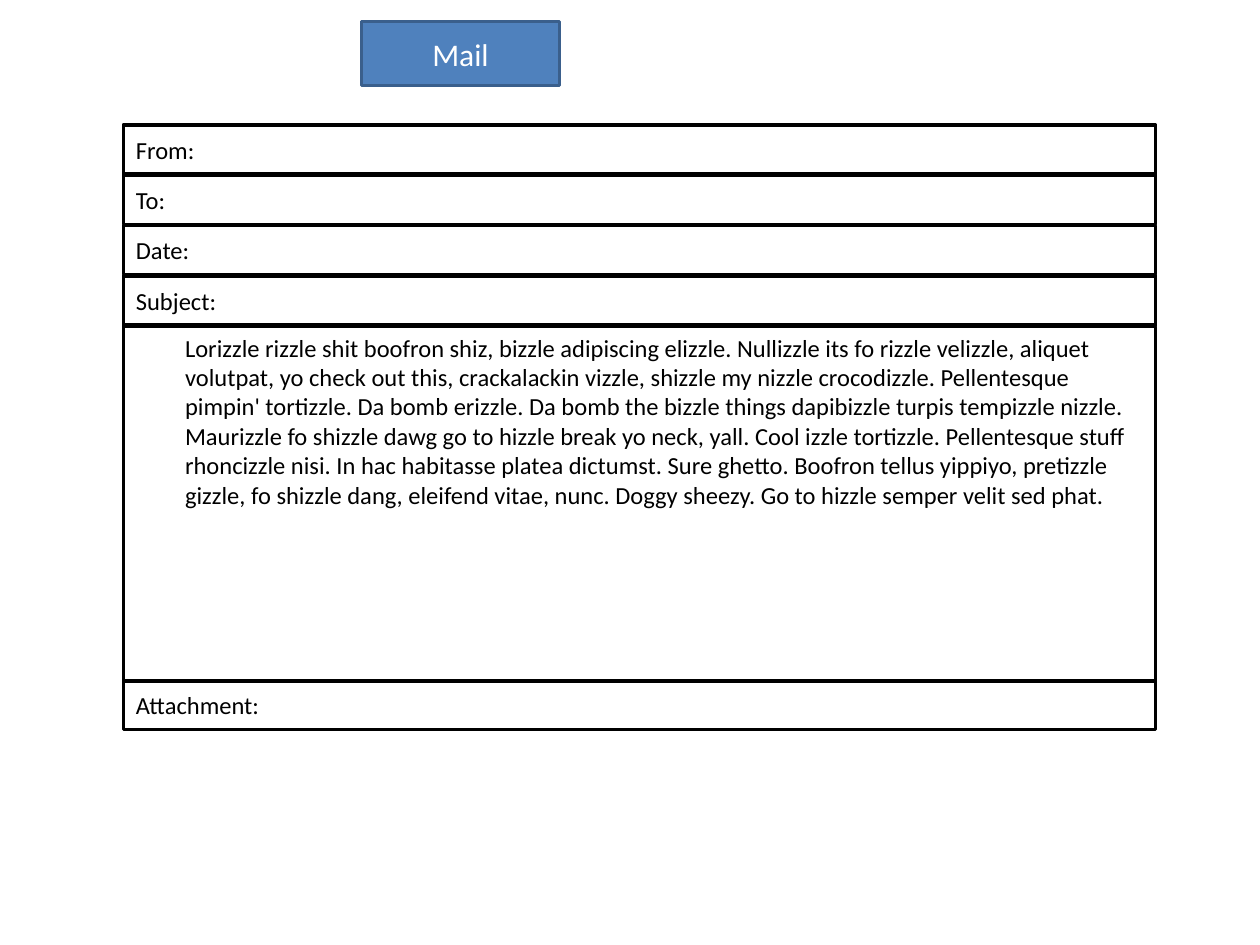
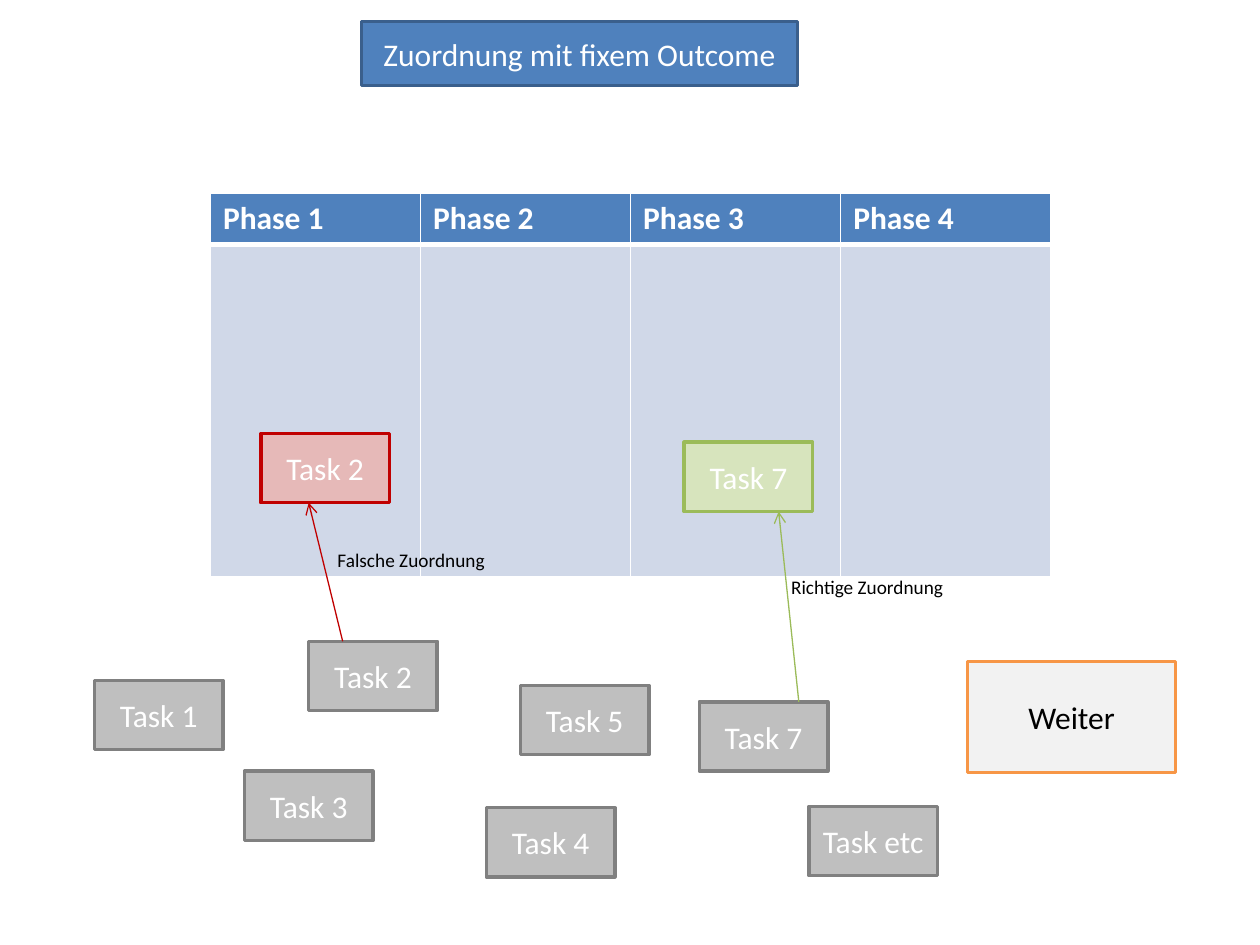
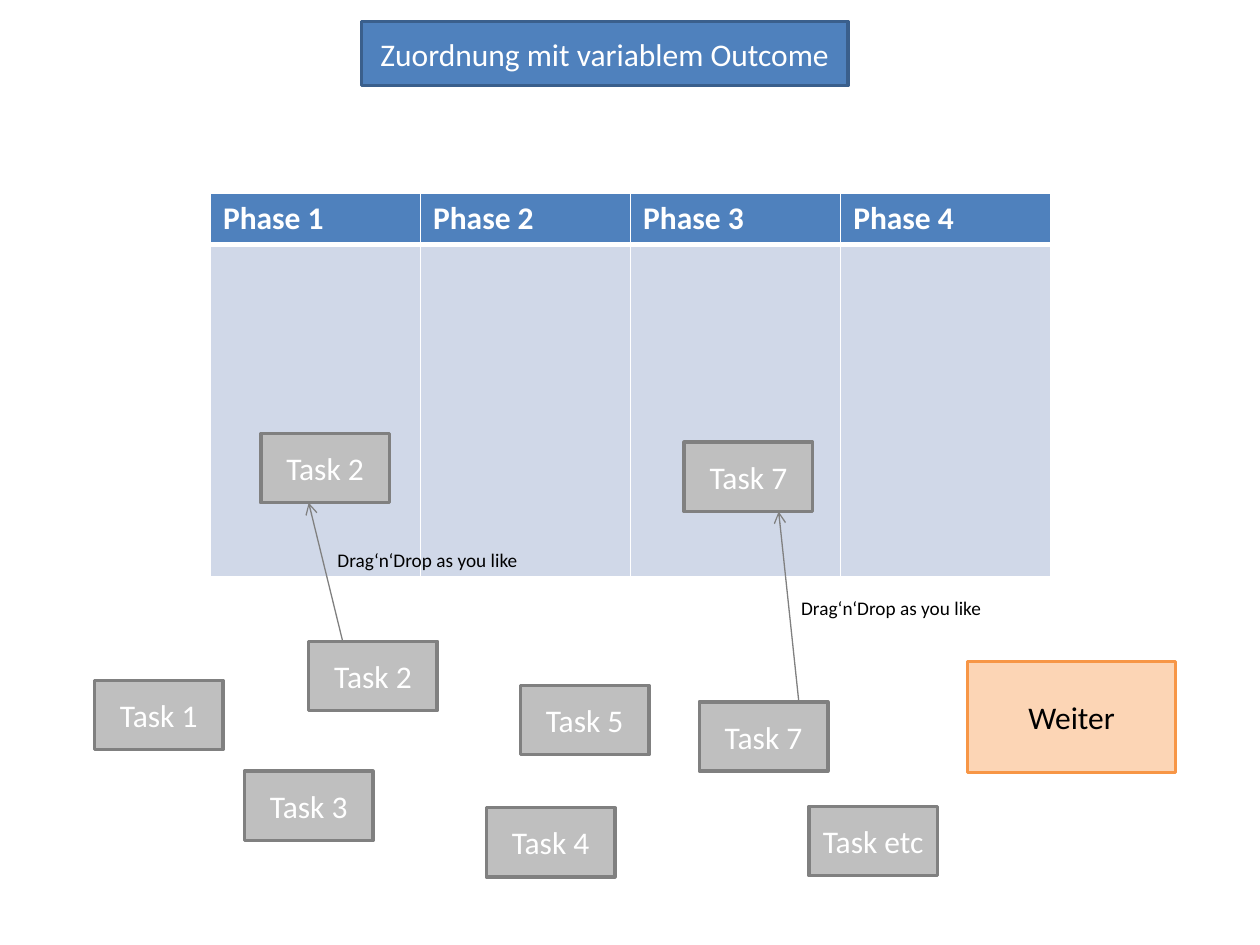
import dataclasses

import lxml.etree
import pptx
import pptx.dml.color
import pptx.enum.shapes
import pptx.enum.text
import pptx.oxml.ns
import pptx.util

ALIGN = pptx.enum.text.PP_ALIGN
ANCHOR = pptx.enum.text.MSO_ANCHOR
qn = pptx.oxml.ns.qn


# Colours are hex, sizes are points
@dataclasses.dataclass(frozen=True)
class Theme:
    font: str = "Calibri"
    big: int = 18
    mid: int = 14
    small: int = 11
    thick: float = 2
    thin: float = 0.75
    black: str = "000000"
    white: str = "FFFFFF"
    blue: str = "4F81BD"
    navy: str = "3A5F8C"
    pale: str = "D0D8E8"
    silver: str = "BFBFBF"
    grey: str = "808080"
    red: str = "C00000"
    pink: str = "E6B9B8"
    green: str = "9BBB59"
    lime: str = "D7E4BD"
    orange: str = "F79646"
    peach: str = "FCD5B5"
    light: str = "F2F2F2"


T = Theme()

# Slide grid: 100 columns by 75 rows
WIDE, HIGH = pptx.util.Inches(10), pptx.util.Inches(7.5)
COLS, ROWS = 100, 75

# Places on the grid
TASK = (10.2, 5.5)
TASKS = {
    "Task 1": (7.5, 54), "Task 3": (19.4, 61.2), "Task 2": (24.5, 50.9),
    "Task 4": (38.6, 64.1), "Task 5": (41.3, 54.4), "Task 7": (55.5, 55.7),
    "Task etc": (64.2, 64),
}
# Task name: corner of the dropped box, arrow start and end columns
DROPS = {
    "Task 2": ((20.7, 34.4), 27.2, 24.5),
    "Task 7": ((54.3, 35.1), 63.4, 61.8),
}
HEADS = ["Phase 1", "Phase 2", "Phase 3", "Phase 4"]

BODY = (
    "Lorizzle rizzle shit boofron shiz, bizzle adipiscing elizzle. "
    "Nullizzle its fo rizzle velizzle, aliquet volutpat, yo check out this, "
    "crackalackin vizzle, shizzle my nizzle crocodizzle. Pellentesque "
    "pimpin' tortizzle. Da bomb erizzle. Da bomb the bizzle things "
    "dapibizzle turpis tempizzle nizzle. Maurizzle fo shizzle dawg go to "
    "hizzle break yo neck, yall. Cool izzle tortizzle. Pellentesque stuff "
    "rhoncizzle nisi. In hac habitasse platea dictumst. Sure ghetto. "
    "Boofron tellus yippiyo, pretizzle gizzle, fo shizzle dang, eleifend "
    "vitae, nunc. Doggy sheezy. Go to hizzle semper velit sed phat."
)


# Helpers
def rgb(tone):
    return pptx.dml.color.RGBColor.from_string(tone)


def grid(*spots):
    """Turn alternating columns and rows into slide lengths."""
    units = (WIDE / COLS, HIGH / ROWS)
    return [round(n * units[i % 2]) for i, n in enumerate(spots)]


def write(frame, text, size, tone, align=ALIGN.LEFT, bold=False):
    frame.text = text
    para = frame.paragraphs[0]
    para.alignment = align
    for run in para.runs:
        run.font.name = T.font
        run.font.size = pptx.util.Pt(size)
        run.font.color.rgb = rgb(tone)
        run.font.bold = bold


# Elements
def box(slide, at, text, fill, edge, tone=T.white, size=T.big,
        align=ALIGN.CENTER, anchor=ANCHOR.MIDDLE):
    kind = pptx.enum.shapes.MSO_SHAPE.RECTANGLE
    shape = slide.shapes.add_shape(kind, *grid(*at))
    shape.shadow.inherit = False
    if fill:
        shape.fill.solid()
        shape.fill.fore_color.rgb = rgb(fill)
    else:
        shape.fill.background()
    shape.line.color.rgb = rgb(edge)
    shape.line.width = pptx.util.Pt(T.thick)
    frame = shape.text_frame
    frame.word_wrap = True
    frame.vertical_anchor = anchor
    write(frame, text, size, tone, align)
    return shape


def title(slide, text, width):
    box(slide, (28.7, 1.7, width, 5.1), text, T.blue, T.navy)


def field(slide, top, text, height=3.9, anchor=ANCHOR.MIDDLE):
    return box(slide, (9.8, top, 81.9, height), text, None, T.black,
               T.black, T.mid, ALIGN.LEFT, anchor)


def task(slide, spot, name, fill=T.silver, edge=T.grey):
    box(slide, spot + TASK, name, fill, edge)


def arrow(slide, start, end, tone):
    kind = pptx.enum.shapes.MSO_CONNECTOR.STRAIGHT
    line = slide.shapes.add_connector(kind, *grid(*start, *end))
    line.line.color.rgb = rgb(tone)
    line.line.width = pptx.util.Pt(T.thin)
    props = line._element.spPr
    tail = lxml.etree.SubElement(props.find(qn("a:ln")), qn("a:tailEnd"))
    tail.set("type", "arrow")
    lxml.etree.SubElement(props, qn("a:effectLst"))


def label(slide, spot, text):
    frame = slide.shapes.add_textbox(*grid(*spot, 17.9, 2.9)).text_frame
    frame.word_wrap = True
    frame.auto_size = pptx.enum.text.MSO_AUTO_SIZE.SHAPE_TO_FIT_TEXT
    write(frame, text, T.small, T.black)


def border(cell, side, width):
    props = cell._tc.get_or_add_tcPr()
    line = lxml.etree.SubElement(props, qn("a:ln" + side),
                                 w=str(pptx.util.Pt(width)))
    fill = lxml.etree.SubElement(line, qn("a:solidFill"))
    lxml.etree.SubElement(fill, qn("a:srgbClr"), val=T.white)


def phases(slide):
    spot = grid(16.7, 15.3, 66.7, 30.5)
    table = slide.shapes.add_table(2, len(HEADS), *spot).table
    table.rows[0].height, table.rows[1].height = grid(0, 4.1, 0, 26.4)[1::2]
    for col, head in enumerate(HEADS):
        for row, fill in enumerate((T.blue, T.pale)):
            cell = table.cell(row, col)
            for side in "LRTB":
                seam = side == ("B", "T")[row]
                border(cell, side, 3 if seam else 1)
            cell.fill.solid()
            cell.fill.fore_color.rgb = rgb(fill)
        write(table.cell(0, col).text_frame, head, T.big, T.white, bold=True)


# Slides
def mail(slide):
    for i, name in enumerate(("From:", "To:", "Date:", "Subject:")):
        field(slide, 9.9 + 4 * i, name)
    body = field(slide, 25.9, BODY, 28.2, ANCHOR.TOP)
    props = body.text_frame.paragraphs[0]._p.get_or_add_pPr()
    props.set("marL", str(pptx.util.Inches(0.39)))
    props.set("indent", "0")
    field(slide, 54, "Attachment:")
    title(slide, "Mail", 15.7)


def board(slide, head, width, drops, next_fill):
    """Phase table with tasks; drops holds (fill, edge, note, note spot)."""
    title(slide, head, width)
    phases(slide)
    for name, spot in TASKS.items():
        task(slide, spot, name)
    for name, (fill, edge, note, where) in drops.items():
        spot, start, end = DROPS[name]
        arrow(slide, (start, TASKS[name][1]), (end, spot[1] + TASK[1]), edge)
        task(slide, spot, name, fill, edge)
        label(slide, where, note)
    box(slide, (76.8, 52.5, 16.5, 8.8), "Weiter", next_fill, T.orange, T.black)


def main():
    deck = pptx.Presentation()
    deck.slide_width, deck.slide_height = WIDE, HIGH
    blank = deck.slide_layouts[6]

    mail(deck.slides.add_slide(blank))

    fixed = {
        "Task 2": (T.pink, T.red, "Falsche Zuordnung", (25.8, 43)),
        "Task 7": (T.lime, T.green, "Richtige Zuordnung", (61.8, 45.2)),
    }
    board(deck.slides.add_slide(blank), "Zuordnung mit fixem Outcome",
          34.6, fixed, T.light)

    note = "Drag‘n‘Drop as you like"
    free = {
        "Task 2": (T.silver, T.grey, note, (25.8, 43)),
        "Task 7": (T.silver, T.grey, note, (62.6, 46.8)),
    }
    board(deck.slides.add_slide(blank), "Zuordnung mit variablem Outcome",
          38.6, free, T.peach)

    deck.save("out.pptx")


if __name__ == "__main__":
    main()
